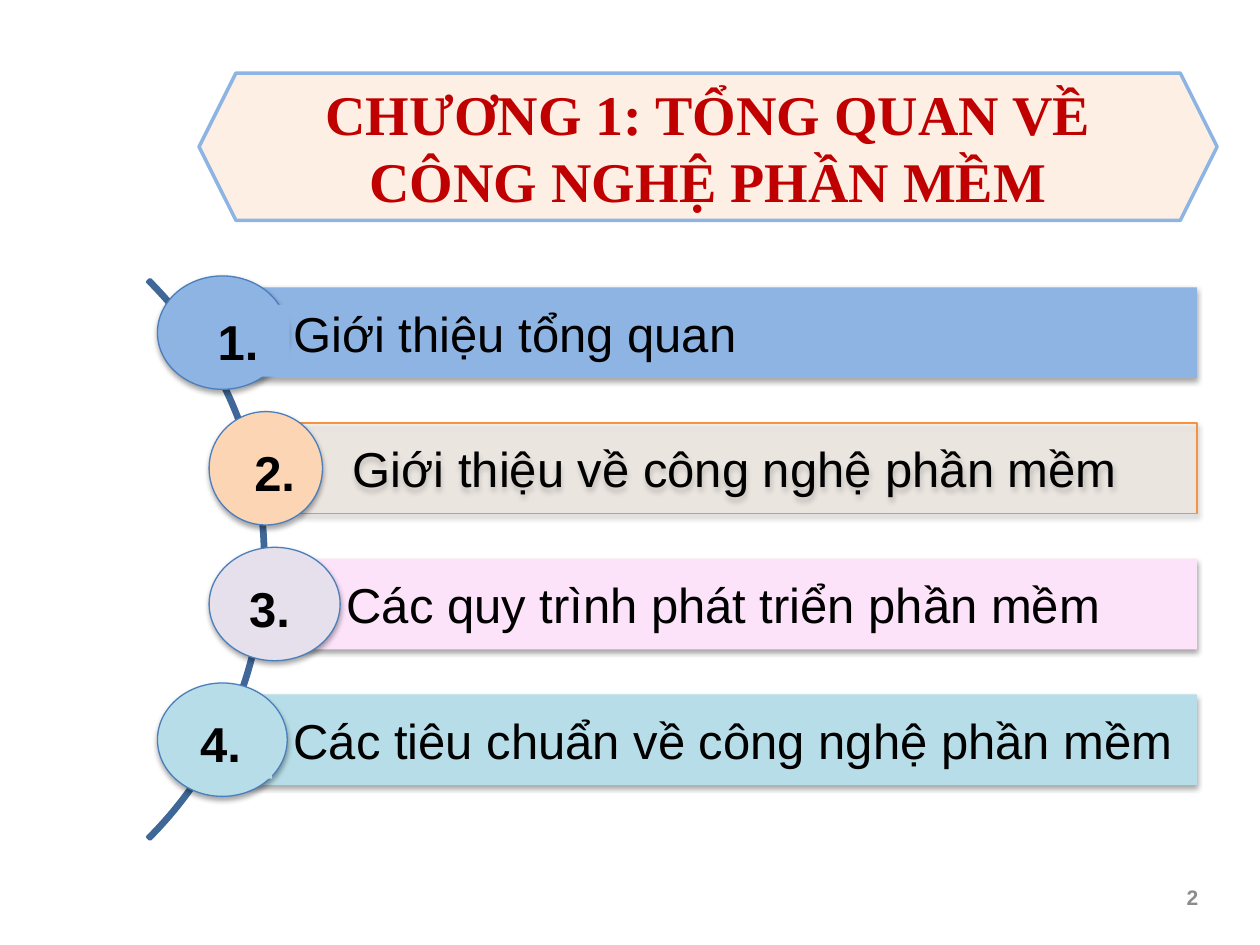
from lxml import etree
from pptx import Presentation
from pptx.dml.color import RGBColor
from pptx.enum.shapes import MSO_SHAPE
from pptx.enum.text import MSO_ANCHOR, PP_ALIGN
from pptx.oxml.ns import qn
from pptx.util import Inches, Pt

RECTANGLE, OVAL = MSO_SHAPE.RECTANGLE, MSO_SHAPE.OVAL
HEXAGON, BLOCK_ARC = MSO_SHAPE.HEXAGON, MSO_SHAPE.BLOCK_ARC
TOP, MIDDLE = MSO_ANCHOR.TOP, MSO_ANCHOR.MIDDLE
LEFT, CENTER, RIGHT = PP_ALIGN.LEFT, PP_ALIGN.CENTER, PP_ALIGN.RIGHT

BLACK = RGBColor(0x00, 0x00, 0x00)
GRAY = RGBColor(0x8C, 0x8C, 0x8C)
RED = RGBColor(0xC0, 0x00, 0x00)
CREAM = RGBColor(0xFD, 0xEF, 0xE3)
BLUE = RGBColor(0x8E, 0xB4, 0xE3)
ARC_BLUE = RGBColor(0x3F, 0x67, 0x97)
DISC_LINE = RGBColor(0x4B, 0x7E, 0xBC)
SAND = RGBColor(0xFD, 0xEA, 0xDA)
ORANGE = RGBColor(0xF6, 0x92, 0x40)
PEACH = RGBColor(0xFC, 0xD5, 0xB5)
PINK = RGBColor(0xFD, 0xE3, 0xF9)
LILAC = RGBColor(0xE6, 0xE0, 0xEC)
TEAL = RGBColor(0xB7, 0xDE, 0xE8)

TITLE = "CHƯƠNG 1: TỔNG QUAN VỀ CÔNG NGHỆ PHẦN MỀM"
PAGE_NUMBER = "2"
CHAPTERS = [
    dict(text="Giới thiệu tổng quan", bar=BLUE, bar_left=1.76, inset=0.57,
         disc=BLUE, disc_left=1.25, disc_width=1.03, number=(0.38, 0.23), plate=BLUE),
    dict(text="Giới thiệu về công nghệ phần mềm", bar=SAND, bar_left=2.38, inset=0.42,
         disc=PEACH, disc_left=1.66, disc_width=0.9, number=(0.26, 0.2),
         bar_line=ORANGE, opacity=30),
    dict(text="Các quy trình phát triển phần mềm", bar=PINK, bar_left=2.18, inset=0.57,
         disc=LILAC, disc_left=1.66, disc_width=1.04, number=(0.22, 0.2)),
    dict(text="Các tiêu chuẩn về công nghệ phần mềm", bar=TEAL, bar_left=1.76, inset=0.57,
         disc=TEAL, disc_left=1.25, disc_width=1.03, number=(0.24, 0.19), plate=TEAL),
]
FIRST_TOP, ROW_PITCH = 2.19, 1.077
DISC_HEIGHT, BAR_HEIGHT = 0.9, 0.72
BAR_RIGHT = 9.5
NUMBER_SIZE = (0.67, 0.57)
TITLE_BOX = (1.58, 0.58, 8.08, 1.17)
TITLE_MARGIN = 0.5
ARC_BOX = (-4.17, 1.3, 6.28, 6.28)


def add_child(parent, tag, **attributes):
    values = {name: str(value) for name, value in attributes.items()}
    return etree.SubElement(parent, qn(tag), values)


def add_shadow(shape, opacity):
    effects = add_child(shape._element.spPr, "a:effectLst")
    shadow = add_child(effects, "a:outerShdw", blurRad=Pt(3.1), dist=Pt(1.8),
                       dir=5400000, rotWithShape=0)
    color = add_child(shadow, "a:srgbClr", val=BLACK)
    add_child(color, "a:alpha", val=opacity * 1000)


def draw(page, kind, box, fill=None, line=None, width=0.75, shadow=None, opacity=None):
    shape = page.shapes.add_shape(kind, *map(Inches, box))
    if fill is None:
        shape.fill.background()
    else:
        shape.fill.solid()
        shape.fill.fore_color.rgb = fill
    if opacity is not None:
        color = shape._element.spPr.find(qn("a:solidFill"))[0]
        add_child(color, "a:alpha", val=opacity * 1000)
    if line is None:
        shape.line.fill.background()
    else:
        shape.line.color.rgb = line
        shape.line.width = Pt(width)
    if shadow is None:
        shape.shadow.inherit = False
    else:
        add_shadow(shape, shadow)
    return shape


def write(shape, text, size=28, font="Arial", color=BLACK, bold=False,
          align=LEFT, anchor=MIDDLE, inset=0.1, margin=0.05):
    frame = shape.text_frame
    frame.word_wrap = True
    frame.vertical_anchor = anchor
    frame.margin_left = Inches(inset)
    frame.margin_right = Inches(0.07)
    frame.margin_top = frame.margin_bottom = Inches(margin)
    para = frame.paragraphs[0]
    para.alignment = align
    span = para.add_run()
    span.text = text
    span.font.size = Pt(size)
    span.font.name = font
    span.font.bold = bold
    span.font.color.rgb = color


def add_title(page):
    left, top, width, height = TITLE_BOX
    draw(page, HEXAGON, TITLE_BOX, CREAM, BLUE, width=2)
    title = page.shapes.title
    title.left, title.top = Inches(left + TITLE_MARGIN), Inches(top)
    title.width, title.height = Inches(width - 2 * TITLE_MARGIN), Inches(height)
    write(title, TITLE, size=32, font="Times New Roman", color=RED, bold=True,
          align=CENTER, inset=0.07)
    page.shapes._spTree.append(title._element)


def add_arc(page):
    arc = draw(page, BLOCK_ARC, ARC_BOX, ARC_BLUE, ARC_BLUE, width=2)
    for index, value in enumerate((189, 27, 0.004)):
        arc.adjustments[index] = value


def add_chapter(page, index, chapter):
    top = FIRST_TOP + index * ROW_PITCH
    bar_top = top + (DISC_HEIGHT - BAR_HEIGHT) / 2
    bar_left, disc_left = chapter["bar_left"], chapter["disc_left"]
    bar = draw(page, RECTANGLE, (bar_left, bar_top, BAR_RIGHT - bar_left, BAR_HEIGHT),
               chapter["bar"], chapter.get("bar_line"), shadow=35,
               opacity=chapter.get("opacity"))
    write(bar, chapter["text"], inset=chapter["inset"], margin=0.07)
    draw(page, OVAL, (disc_left, top, chapter["disc_width"], DISC_HEIGHT),
         chapter["disc"], DISC_LINE, shadow=35)
    across, down = chapter["number"]
    number = draw(page, RECTANGLE, (disc_left + across, top + down, *NUMBER_SIZE),
                  chapter.get("plate"))
    write(number, f"{index + 1}.", bold=True, anchor=TOP)


def main():
    deck = Presentation()
    deck.slide_width, deck.slide_height = Inches(10), Inches(7.5)
    page = deck.slides.add_slide(deck.slide_layouts[5])
    page_number = page.shapes.add_textbox(*map(Inches, (7.25, 6.92, 2.33, 0.4)))
    write(page_number, PAGE_NUMBER, size=12, color=GRAY, bold=True, align=RIGHT)
    add_title(page)
    add_arc(page)
    for index, chapter in enumerate(CHAPTERS):
        add_chapter(page, index, chapter)
    deck.save("out.pptx")


if __name__ == "__main__":
    main()
